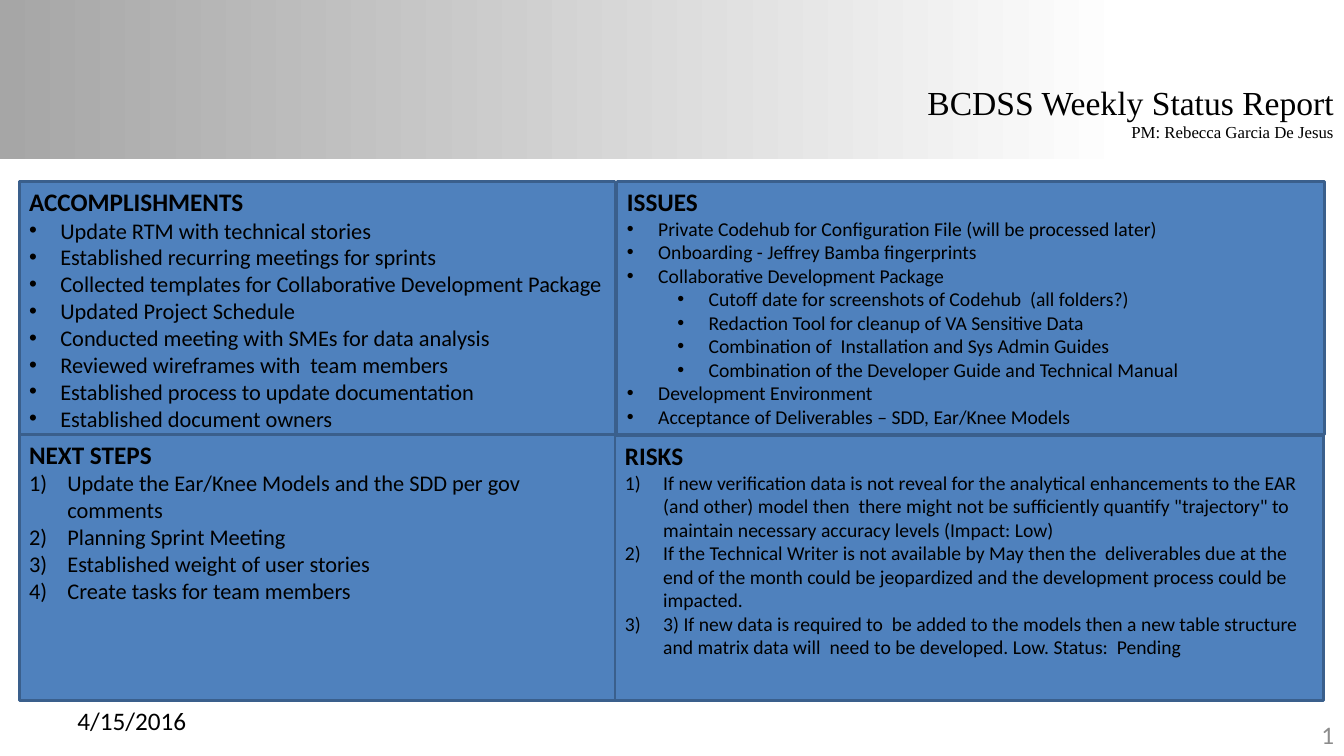
from lxml import etree
from pptx import Presentation
from pptx.dml.color import RGBColor
from pptx.enum import shapes, text
from pptx.oxml import ns
from pptx.util import Inches, Pt

BLACK = RGBColor(0x00, 0x00, 0x00)
WHITE = RGBColor(0xFF, 0xFF, 0xFF)
GREY = RGBColor(0x8C, 0x8C, 0x8C)
SILVER = RGBColor(0xA6, 0xA6, 0xA6)
BLUE = RGBColor(0x4F, 0x81, 0xBD)
NAVY = RGBColor(0x3A, 0x5F, 0x8C)
SANS = "Calibri"
SERIF = "Times New Roman"
LEFT, RIGHT = text.PP_ALIGN.LEFT, text.PP_ALIGN.RIGHT

# Each panel: place, heading, item size, numbered, items as (level, words)
PANELS = [
    ((0.19, 1.8, 5.91, 2.51), "ACCOMPLISHMENTS", 16, False, [
        (0, "Update RTM with technical stories"),
        (0, "Established recurring meetings for sprints"),
        (0, "Collected templates for Collaborative Development Package"),
        (0, "Updated Project Schedule"),
        (0, "Conducted meeting with SMEs for data analysis"),
        (0, "Reviewed wireframes with  team members"),
        (0, "Established process to update documentation"),
        (0, "Established document owners"),
    ]),
    ((0.19, 4.31, 5.91, 2.64), "NEXT STEPS", 16, True, [
        (0, "Update the Ear/Knee Models and the SDD per gov comments"),
        (0, "Planning Sprint Meeting"),
        (0, "Established weight of user stories"),
        (0, "Create tasks for team members"),
    ]),
    ((6.12, 1.8, 7.02, 2.51), "ISSUES", 14, False, [
        (0, "Private Codehub for Configuration File (will be processed later)"),
        (0, "Onboarding - Jeffrey Bamba fingerprints"),
        (0, "Collaborative Development Package"),
        (1, "Cutoff date for screenshots of Codehub  (all folders?)"),
        (1, "Redaction Tool for cleanup of VA Sensitive Data"),
        (1, "Combination of  Installation and Sys Admin Guides"),
        (1, "Combination of the Developer Guide and Technical Manual"),
        (0, "Development Environment"),
        (0, "Acceptance of Deliverables – SDD, Ear/Knee Models"),
    ]),
    ((6.1, 4.32, 7.03, 2.63), "RISKS", 14, True, [
        (0, "If new verification data is not reveal for the analytical "
            "enhancements to the EAR (and other) model then  there might not be "
            "sufficiently quantify \"trajectory\" to maintain necessary accuracy "
            "levels (Impact: Low)"),
        (0, "If the Technical Writer is not available by May then the  "
            "deliverables due at the end of the month could be jeopardized and "
            "the development process could be impacted."),
        (0, "3) If new data is required to  be added to the models then a new "
            "table structure and matrix data will  need to be developed. Low. "
            "Status:  Pending"),
    ]),
]


def add_run(para, words, size, face=SANS, color=BLACK, bold=False):
    run = para.add_run()
    run.text = words
    font = run.font
    font.size, font.name, font.bold = Pt(size), face, bold
    font.color.rgb = color


def add_mark(para, level, numbered):
    """Give a paragraph a hanging bullet or number."""
    hang = 0.38 if numbered else 0.31
    props = para._p.get_or_add_pPr()
    props.set("marL", str(Inches(hang + level * 0.5)))
    props.set("indent", str(Inches(-hang)))
    if numbered:
        etree.SubElement(props, ns.qn("a:buAutoNum"), type="arabicParenR")
    else:
        etree.SubElement(props, ns.qn("a:buFont"), typeface="Arial")
        etree.SubElement(props, ns.qn("a:buChar"), char="•")


def add_rect(slide, place):
    rect = slide.shapes.add_shape(shapes.MSO_SHAPE.RECTANGLE, *map(Inches, place))
    rect.shadow.inherit = False
    return rect


def add_band(slide):
    band = add_rect(slide, (0, 0, 13.33, 1.58))
    band.line.fill.background()
    band.fill.gradient()
    band.fill.gradient_angle = 0
    for stop, (pos, color) in zip(band.fill.gradient_stops,
                                  [(0, SILVER), (0.84, WHITE)]):
        stop.position = pos
        stop.color.rgb = color


def set_title(slide):
    title = slide.shapes.title
    title.left, title.top, title.width, title.height = map(
        Inches, (9.06, 0.76, 4.27, 0.71))
    frame = title.text_frame
    frame.word_wrap = False
    frame.auto_size = text.MSO_AUTO_SIZE.NONE
    frame.vertical_anchor = text.MSO_ANCHOR.TOP
    first, second = frame.paragraphs[0], frame.add_paragraph()
    first.alignment = second.alignment = RIGHT
    add_run(first, "BCDSS Weekly Status Report", 24, SERIF)
    add_run(second, "PM: Rebecca Garcia De Jesus", 12, SERIF)


def add_panel(slide, place, head, size, numbered, items):
    panel = add_rect(slide, place)
    panel.fill.solid()
    panel.fill.fore_color.rgb = BLUE
    panel.line.color.rgb = NAVY
    panel.line.width = Pt(2)
    frame = panel.text_frame
    frame.word_wrap = True
    frame.vertical_anchor = text.MSO_ANCHOR.TOP
    para = frame.paragraphs[0]
    para.alignment = LEFT
    add_run(para, head, 18, bold=True)
    for level, words in items:
        para = frame.add_paragraph()
        para.alignment = LEFT
        para.level = level
        add_mark(para, level, numbered)
        add_run(para, words, size)


def add_label(slide, place, words, color, align):
    frame = slide.shapes.add_textbox(*map(Inches, place)).text_frame
    frame.word_wrap = True
    frame.vertical_anchor = text.MSO_ANCHOR.MIDDLE
    para = frame.paragraphs[0]
    para.alignment = align
    add_run(para, words, 18, color=color)


def main():
    deck = Presentation()
    deck.slide_width, deck.slide_height = Inches(13.33), Inches(7.5)
    slide = deck.slides.add_slide(deck.slide_layouts[5])

    # Header, with the title in front of the band
    add_band(slide)
    set_title(slide)
    slide.shapes._spTree.append(slide.shapes.title._element)

    # Footer
    add_label(slide, (10.22, 7.09, 3.11, 0.4), "1", GREY, RIGHT)
    add_label(slide, (0.67, 6.95, 3.11, 0.4), "4/15/2016", BLACK, LEFT)

    # Four status panels
    for panel in PANELS:
        add_panel(slide, *panel)

    deck.save("out.pptx")


if __name__ == "__main__":
    main()
